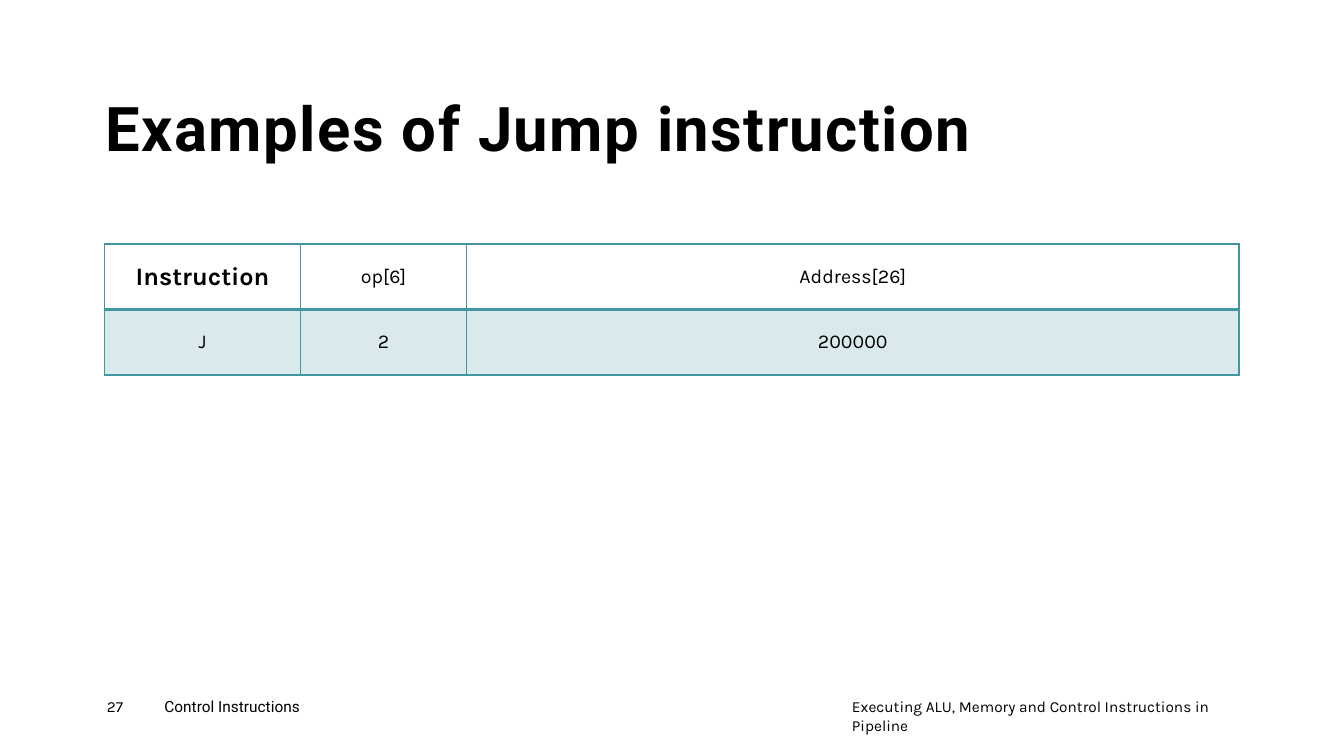
from lxml.etree import SubElement
from pptx import Presentation
from pptx.dml.color import RGBColor
from pptx.enum.text import MSO_ANCHOR, PP_ALIGN
from pptx.oxml.ns import qn
from pptx.util import Inches, Pt

BLACK = RGBColor(0x00, 0x00, 0x00)
TEAL = RGBColor(0x44, 0x95, 0xA2)
WIDE, HIGH = Inches(13.33), Inches(7.5)
COLS = (14.55, 12.38, 57.46)
ROW = 8.67
FOOT = 92.27
CELLS = (("Instruction", "op[6]", "Address[26]"), ("J", "2", "200000"))


def across(share):
    return round(WIDE * share / 100)


def down(share):
    return round(HIGH * share / 100)


def add_run(para, text, font, size, bold=False):
    run = para.add_run()
    run.text = text
    run.font.name = font
    run.font.size = Pt(size)
    run.font.bold = bold
    run.font.color.rgb = BLACK
    return run


def add_text(slide, box, text, font, size, bold=False):
    left, top, width, height = box
    shape = slide.shapes.add_textbox(across(left), down(top), across(width), down(height))
    frame = shape.text_frame
    frame.word_wrap = True
    frame.margin_left = frame.margin_right = 0
    frame.margin_top = frame.margin_bottom = 0
    return frame, add_run(frame.paragraphs[0], text, font, size, bold)


def add_title(slide, text):
    frame, run = add_text(slide, (7.88, 3.07, 84.4, 18.67), text, "Roboto", 44, True)
    frame.vertical_anchor = MSO_ANCHOR.BOTTOM
    frame.paragraphs[0].line_spacing = 0.9
    run.font._element.set("spc", "100")


def add_edge(cell, side, width):
    props = cell._tc.get_or_add_tcPr()
    line = SubElement(props, qn(f"a:ln{side}"), w=str(Pt(width)))
    fill = SubElement(line, qn("a:solidFill"))
    SubElement(fill, qn("a:srgbClr"), val=str(TEAL))


def tint(cell, share):
    cell.fill.solid()
    cell.fill.fore_color.rgb = TEAL
    shade = cell._tc.tcPr.find(qn("a:solidFill")).find(qn("a:srgbClr"))
    SubElement(shade, qn("a:alpha"), val=str(share * 1000))


def fill_cell(cell, text, head, label):
    cell.vertical_anchor = MSO_ANCHOR.MIDDLE
    para = cell.text_frame.paragraphs[0]
    para.alignment = PP_ALIGN.CENTER
    add_run(para, text, "Karla", 18 if label else 14, label)
    for side in "LRTB":
        add_edge(cell, side, 2 if head and side == "B" else 1)
    if head:
        cell.fill.background()
    else:
        tint(cell, 20)


def add_grid(slide):
    frame = slide.shapes.add_table(
        len(CELLS), len(COLS), across(7.8), down(32.27),
        across(sum(COLS)), down(ROW * len(CELLS)))
    table = frame.table
    table.horz_banding = False
    for col, share in zip(table.columns, COLS):
        col.width = across(share)
    for i, texts in enumerate(CELLS):
        table.rows[i].height = down(ROW)
        for j, text in enumerate(texts):
            fill_cell(table.cell(i, j), text, i == 0, i == j == 0)


def main():
    deck = Presentation()
    deck.slide_width, deck.slide_height = WIDE, HIGH
    slide = deck.slides.add_slide(deck.slide_layouts[6])
    add_title(slide, "Examples of Jump instruction")
    add_grid(slide)
    for left, width, text, font in (
        (7.95, 4.28, "27", "Karla"),
        (12.23, 12.3, "Control Instructions", "Roboto"),
        (63.39, 28.66, "Executing ALU, Memory and Control Instructions in Pipeline", "Karla"),
    ):
        add_text(slide, (left, FOOT, width, 3.6), text, font, 11)
    deck.save("out.pptx")


if __name__ == "__main__":
    main()
